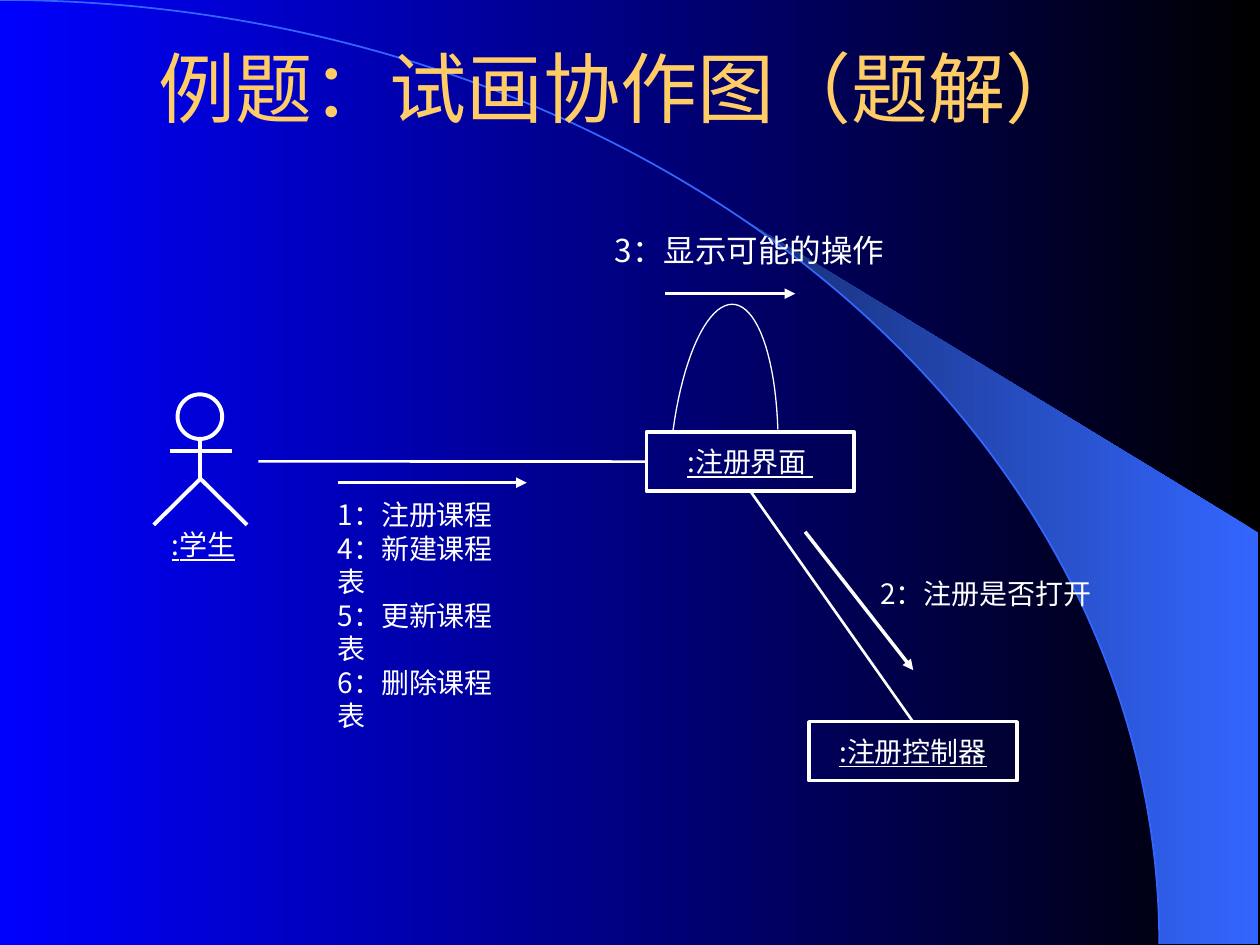
from dataclasses import dataclass
from math import cos, radians, sin

from lxml import etree
from pptx import Presentation
from pptx.dml.color import RGBColor
from pptx.enum.shapes import MSO_CONNECTOR as Conn, MSO_SHAPE as Shp
from pptx.enum.text import MSO_ANCHOR as Anchor, PP_ALIGN as Align
from pptx.oxml.ns import qn
from pptx.util import Cm, Pt

COLORS = {
    "black": "000000", "blue": "0000FF", "arc": "3366FF",
    "shade": "172F75", "title": "FFCC66", "white": "FFFFFF",
}
FONT = "Noto Sans CJK SC"


@dataclass
class Label:
    lines: list[str]
    x: float
    y: float
    w: float
    h: float
    size: float = 16
    color: str = "white"
    align: Align = Align.LEFT
    insets: tuple[float, float, float, float] = (0, 0.1, 0, 0)
    wrap: bool = True
    underline: bool = False
    anchor: Anchor = Anchor.TOP


@dataclass
class Line:
    x1: float
    y1: float
    x2: float
    y2: float
    width: float = 2
    arrow: bool = False


def rgb(name: str) -> RGBColor:
    return RGBColor.from_string(COLORS[name])


def set_gradient(fill, start: str, end: str) -> None:
    fill.gradient()
    fill.gradient_angle = 180
    for stop, name in zip(fill.gradient_stops, (start, end)):
        stop.color.rgb = rgb(name)


def set_outline(sp, color: str, width: float) -> None:
    sp.shadow.inherit = False
    sp.fill.background()
    sp.line.color.rgb = rgb(color)
    sp.line.width = Pt(width)


def set_font(font, size: float, color: str, name: str = FONT) -> None:
    font.name = name
    font.size = Pt(size)
    font.color.rgb = rgb(color)


def write(tf, lb: Label) -> None:
    tf.word_wrap = lb.wrap
    tf.vertical_anchor = lb.anchor
    tf.margin_left, tf.margin_top, tf.margin_right, tf.margin_bottom = map(Cm, lb.insets)
    for i, line in enumerate(lb.lines):
        p = tf.add_paragraph() if i else tf.paragraphs[0]
        p.alignment = lb.align
        set_font(p.font, lb.size, lb.color)
        p.font.underline = lb.underline or None
        p.add_run().text = line


def add_label(shapes, lb: Label):
    sp = shapes.add_textbox(Cm(lb.x), Cm(lb.y), Cm(lb.w), Cm(lb.h))
    write(sp.text_frame, lb)
    return sp


def add_object(shapes, text: str, x: float, y: float):
    lb = Label([text], x, y, 4.19, 1.19, align=Align.CENTER, wrap=False,
               insets=(0.25, 0.13, 0.25, 0.13), underline=True, anchor=Anchor.MIDDLE)
    sp = shapes.add_shape(Shp.RECTANGLE, Cm(x), Cm(y), Cm(lb.w), Cm(lb.h))
    set_outline(sp, "white", 2)
    write(sp.text_frame, lb)
    return sp


def add_line(shapes, ln: Line):
    cx = shapes.add_connector(Conn.STRAIGHT, Cm(ln.x1), Cm(ln.y1), Cm(ln.x2), Cm(ln.y2))
    cx.line.color.rgb = rgb("white")
    cx.line.width = Pt(ln.width)
    if ln.arrow:
        etree.SubElement(cx.line._get_or_add_ln(), qn("a:tailEnd"), type="triangle")
    etree.SubElement(cx._element.spPr, qn("a:effectLst"))
    return cx


def ellipse_points(cx: float, cy: float, a: float, b: float, start: float, end: float,
                   tilt: float = 0, steps: int = 40) -> list[tuple[int, int]]:
    """Points along an ellipse; angles in degrees, clockwise from the right."""
    k = radians(tilt)
    points = []
    for i in range(steps + 1):
        t = radians(start + (end - start) * i / steps)
        u, v = a * cos(t), b * sin(t)
        points.append((Cm(cx + u * cos(k) - v * sin(k)), Cm(cy + u * sin(k) + v * cos(k))))
    return points


def add_outline(shapes, points: list[tuple[int, int]], close: bool):
    fb = shapes.build_freeform(*points[0])
    fb.add_line_segments(points[1:], close=close)
    sp = fb.convert_to_shape()
    sp.shadow.inherit = False
    return sp


def main() -> None:
    prs = Presentation()
    prs.slide_width, prs.slide_height = Cm(25.4), Cm(19.05)
    s = prs.slides.add_slide(prs.slide_layouts[6])
    shapes = s.shapes

    # Background with the lit wedge along a quarter ellipse
    set_gradient(s.background.fill, "black", "blue")
    rx, ry = 23.37, 19.03
    corner = [(Cm(25.37), Cm(ry)), (Cm(25.37), Cm(10.74))]
    wedge = add_outline(shapes, ellipse_points(0, ry, rx, ry, -50.2, 0) + corner, True)
    set_gradient(wedge.fill, "arc", "shade")
    wedge.line.fill.background()
    arc = shapes.add_shape(Shp.ARC, Cm(-rx), 0, Cm(2 * rx), Cm(2 * ry))
    set_outline(arc, "arc", 1)

    # Title
    add_label(shapes, Label(["例题：试画协作图（题解） "], 1.47, 0.53, 22.43, 2.44, 44, "title",
                            Align.CENTER, (0.25, 0.13, 0.25, 0.13), anchor=Anchor.MIDDLE))

    # Actor
    head = shapes.add_shape(Shp.OVAL, Cm(3.58), Cm(7.95), Cm(0.9), Cm(0.9))
    set_outline(head, "white", 2.25)
    for limb in (
        Line(3.43, 9.09, 4.67, 9.09, 2.25),
        Line(4.04, 8.85, 4.04, 9.65, 2.25),
        Line(4.04, 9.65, 3.1, 10.58, 2.25),
        Line(4.04, 9.65, 4.98, 10.58, 2.25),
    ):
        add_line(shapes, limb)
    add_label(shapes, Label([":学生"], 3.1, 10.54, 2.01, 0.89, align=Align.CENTER,
                            insets=(0, 0.1, 0, 0.1), underline=True))

    # Objects and their links
    screen = add_object(shapes, ":注册界面 ", 13.03, 8.71)
    controller = add_object(shapes, ":注册控制器", 16.31, 14.55)
    add_line(shapes, Line(5.21, 9.3, 13.03, 9.3, 1.5)).end_connect(screen, 1)
    link = add_line(shapes, Line(15.12, 9.9, 18.41, 14.55, 1.5))
    link.begin_connect(screen, 2)
    link.end_connect(controller, 0)
    loop = add_outline(shapes, ellipse_points(14.58, 9.53, 1.09, 3.4, 193.6, 344, 3.4), False)
    set_outline(loop, "white", 0.75)

    # Messages
    for arrow in (
        Line(6.81, 9.73, 10.62, 9.73, arrow=True),
        Line(16.23, 10.72, 18.41, 13.51, arrow=True),
        Line(13.41, 5.92, 16.03, 5.92, arrow=True),
    ):
        add_line(shapes, arrow)
    add_label(shapes, Label(["1：注册课程", "4：新建课程表", "5：更新课程表", "6：删除课程表"],
                            6.81, 9.93, 3.66, 4.83))
    add_label(shapes, Label(["2：注册是否打开"], 17.75, 11.53, 4.39, 0.79, wrap=False))
    reply = add_label(shapes, Label(["3："], 12.14, 4.52, 6.1, 1.02, 18, wrap=False,
                                    insets=(0.25, 0.13, 0.25, 0.13)))
    r = reply.text_frame.paragraphs[0].add_run()
    r.text = "显示可能的操作"
    r.font.name = "Arial"

    prs.save("out.pptx")


if __name__ == "__main__":
    main()
